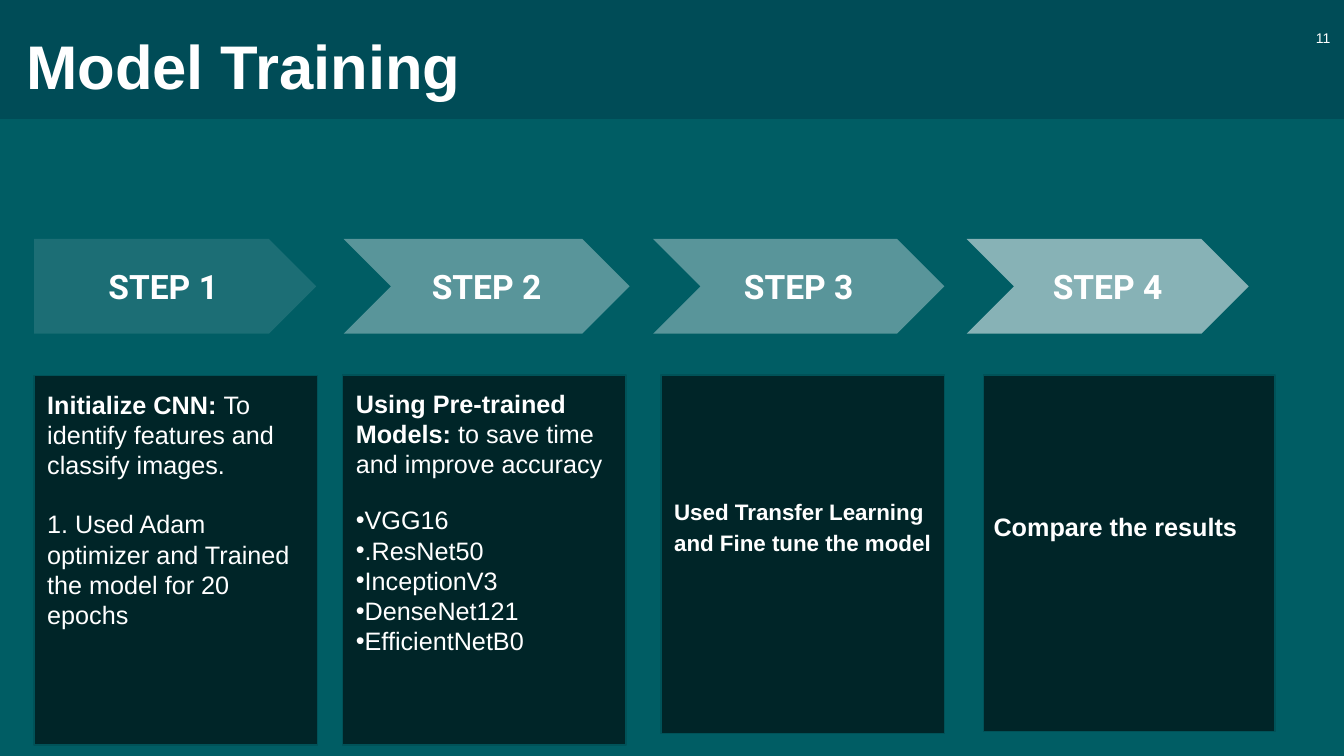
from collections import namedtuple

from lxml.etree import SubElement
from pptx import Presentation
from pptx.dml.color import RGBColor
from pptx.enum.shapes import MSO_SHAPE
from pptx.enum.text import MSO_ANCHOR, MSO_AUTO_SIZE, PP_ALIGN
from pptx.oxml.ns import qn
from pptx.util import Cm, Pt

COLOURS = {
    "background": "005D64",
    "header": "00041C",
    "panel": "000000",
    "panel_line": "005258",
    "white": "FFFFFF",
}
INSET = 0.33
ARROW_TOP, ARROW_HEIGHT = 6.02, 2.39

# Arrow and panel are (left, width) and (left, top, width, height) in cm
Step = namedtuple("Step", "label outline opacity arrow panel")
STEPS = [
    Step("STEP 1", MSO_SHAPE.PENTAGON, 11, (0.86, 7.11), (0.86, 9.47, 7.14, 9.3)),
    Step("STEP 2", MSO_SHAPE.CHEVRON, 35, (8.66, 7.21), (8.64, 9.45, 7.14, 9.32)),
    Step("STEP 3", MSO_SHAPE.CHEVRON, 35, (16.46, 7.34), (16.66, 9.45, 7.14, 9.04)),
    Step("STEP 4", MSO_SHAPE.CHEVRON, 53, (24.36, 7.11), (24.79, 9.45, 7.34, 8.99)),
]
MODELS = ["VGG16", ".ResNet50", "InceptionV3", "DenseNet121", "EfficientNetB0"]


def colour(name):
    return RGBColor.from_string(COLOURS[name])


def place(shape, left, top, width, height):
    shape.left, shape.top = Cm(left), Cm(top)
    shape.width, shape.height = Cm(width), Cm(height)


def add_block(slide, outline, box, fill, opacity, line=None):
    """Add a preset shape with a translucent fill."""
    shape = slide.shapes.add_shape(outline, *map(Cm, box))
    shape.shadow.inherit = False
    shape.fill.solid()
    shape.fill.fore_color.rgb = colour(fill)
    solid_fill = shape.element.spPr.find(qn("a:solidFill"))
    SubElement(solid_fill[0], qn("a:alpha"), val=str(opacity * 1000))
    if line:
        shape.line.color.rgb = colour(line)
        shape.line.width = Pt(1)
    else:
        shape.line.fill.background()
    return shape


def format_frame(frame, anchor=MSO_ANCHOR.TOP):
    frame.word_wrap = True
    frame.auto_size = MSO_AUTO_SIZE.NONE
    frame.vertical_anchor = anchor
    frame.margin_left = frame.margin_right = Cm(INSET)
    frame.margin_top = frame.margin_bottom = Cm(INSET)


def add_run(paragraph, text, size, bold=False, font="Arial"):
    run = paragraph.add_run()
    run.text = text
    run.font.size = Pt(size)
    run.font.bold = bold
    run.font.name = font
    run.font.color.rgb = colour("white")
    return run


def format_paragraph(paragraph, bullet=None, before=0, spacing=1.0,
                     alignment=PP_ALIGN.LEFT):
    properties = paragraph._p.get_or_add_pPr()
    properties.set("marL", "0")
    properties.set("indent", "0")
    if bullet:
        SubElement(properties, qn("a:buChar"), char=bullet)
    else:
        SubElement(properties, qn("a:buNone"))
    paragraph.space_before = Pt(before)
    paragraph.line_spacing = spacing
    paragraph.alignment = alignment
    return paragraph


def add_text_box(slide, box, anchor=MSO_ANCHOR.TOP):
    frame = slide.shapes.add_textbox(*map(Cm, box)).text_frame
    format_frame(frame, anchor)
    return frame


def add_header(slide):
    band = add_block(slide, MSO_SHAPE.RECTANGLE, (0, -0.05, 33.87, 3.05), "header", 18)
    title = slide.shapes.title
    title.element.addprevious(band.element)
    place(title, 0.33, 0.53, 15.16, 2.39)
    format_frame(title.text_frame, MSO_ANCHOR.BOTTOM)
    paragraph = format_paragraph(title.text_frame.paragraphs[0], spacing=0.9)
    add_run(paragraph, "Model Training", 44, bold=True)

    frame = add_text_box(slide, (31.8, -0.05, 2.06, 2.03), MSO_ANCHOR.MIDDLE)
    paragraph = format_paragraph(frame.paragraphs[0], alignment=PP_ALIGN.RIGHT)
    add_run(paragraph, "11", 10)


def add_step(slide, step):
    left, width = step.arrow
    arrow = add_block(slide, step.outline, (left, ARROW_TOP, width, ARROW_HEIGHT),
                      "white", step.opacity)
    format_frame(arrow.text_frame, MSO_ANCHOR.MIDDLE)
    paragraph = format_paragraph(arrow.text_frame.paragraphs[0],
                                 alignment=PP_ALIGN.CENTER)
    add_run(paragraph, step.label, 24, bold=True, font="Roboto")
    add_block(slide, MSO_SHAPE.RECTANGLE, step.panel, "panel", 60, "panel_line")


def add_lead(frame, lead, text):
    paragraph = format_paragraph(frame.paragraphs[0])
    add_run(paragraph, lead, 18, bold=True)
    add_run(paragraph, text, 18)


def add_initial_training(slide):
    frame = add_text_box(slide, (0.86, 9.47, 7.11, 8.92))
    add_lead(frame, "Initialize CNN: ", "To identify features and classify images.")
    paragraph = format_paragraph(frame.add_paragraph(), before=20.7)
    add_run(paragraph, "1. Used Adam optimizer and Trained the model for 20 epochs", 18)


def add_model_list(slide):
    body = slide.placeholders[1]
    slide.shapes[-1].element.addnext(body.element)  # bring in front of the panel
    place(body, 8.64, 9.45, 7.11, 9.32)
    frame = body.text_frame
    format_frame(frame)
    add_lead(frame, "Using Pre-trained Models: ", "to save time and improve accuracy")
    for index, model in enumerate(MODELS):
        paragraph = format_paragraph(frame.add_paragraph(), bullet="•",
                                     before=0 if index else 18.4)
        add_run(paragraph, model, 18)


def add_statement(slide, box, text, size):
    frame = add_text_box(slide, box)
    paragraph = format_paragraph(frame.paragraphs[0], spacing=1.15)
    add_run(paragraph, text, size, bold=True)


def main():
    presentation = Presentation()
    presentation.slide_width, presentation.slide_height = Cm(33.87), Cm(19.05)
    slide = presentation.slides.add_slide(presentation.slide_layouts[1])
    slide.background.fill.solid()
    slide.background.fill.fore_color.rgb = colour("background")

    add_header(slide)

    # Arrows and panels
    for step in STEPS:
        add_step(slide, step)

    # Panel texts
    add_initial_training(slide)
    add_model_list(slide)
    add_statement(slide, (16.66, 12.13, 7.57, 2.5),
                  "Used Transfer Learning and Fine tune the model", 16)
    add_statement(slide, (24.71, 12.45, 7.75, 1.6), "Compare the results", 18)

    presentation.save("out.pptx")


if __name__ == "__main__":
    main()
